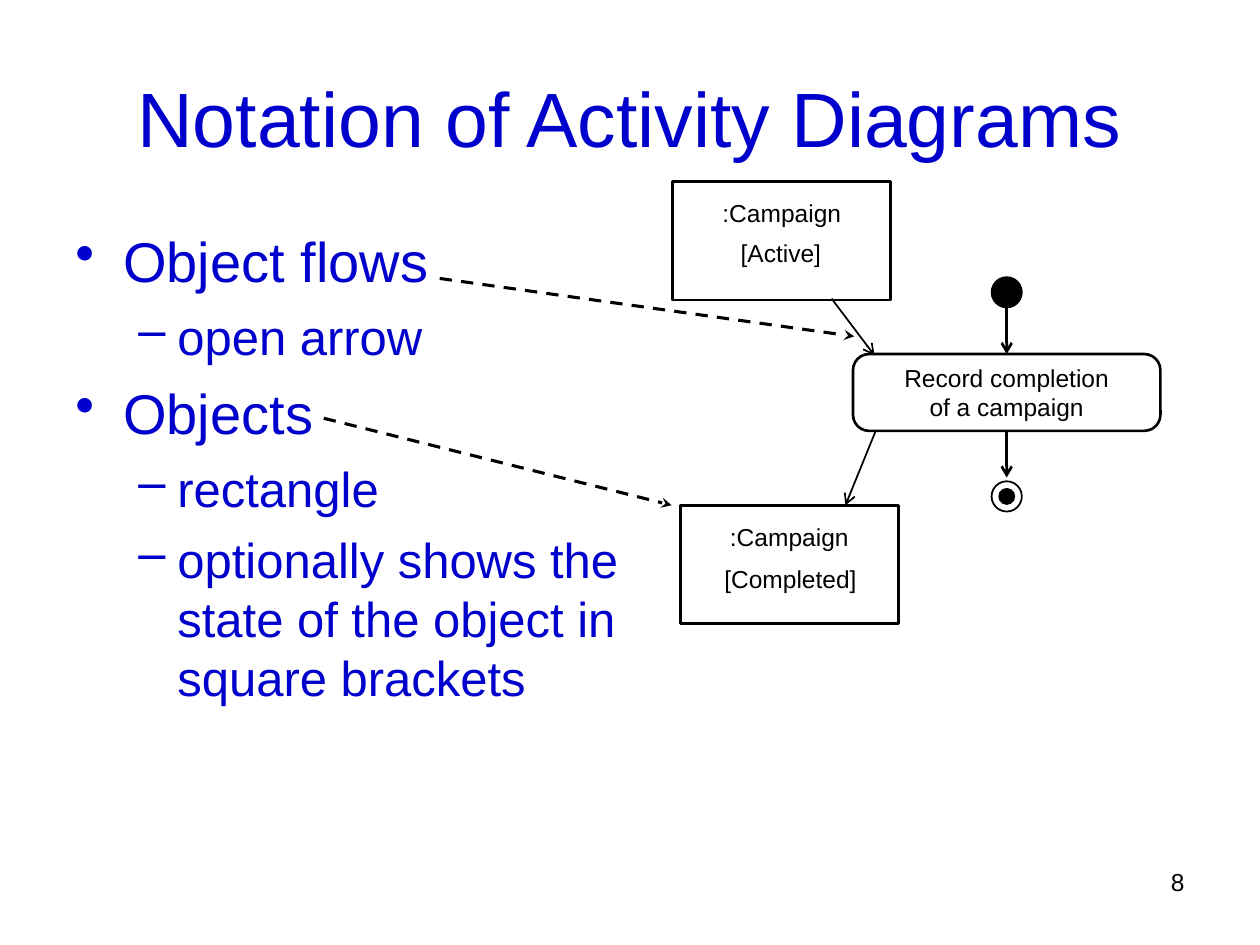
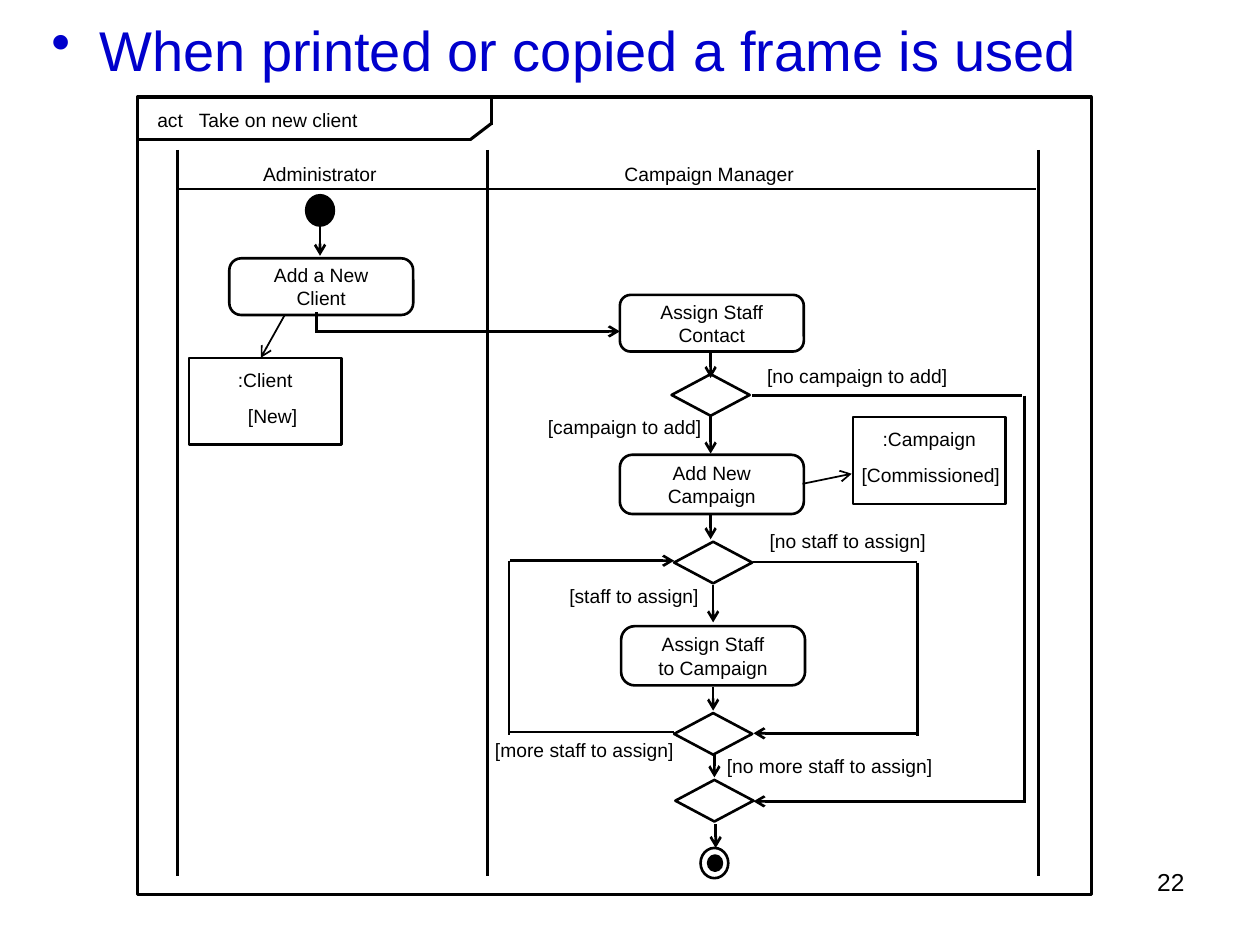
from lxml import etree
from pptx import Presentation
from pptx.dml.color import RGBColor
from pptx.enum.dml import MSO_LINE
from pptx.enum.shapes import MSO_CONNECTOR, MSO_SHAPE
from pptx.enum.text import MSO_ANCHOR, MSO_AUTO_SIZE, PP_ALIGN
from pptx.oxml.ns import qn
from pptx.util import Inches, Pt

STRAIGHT = MSO_CONNECTOR.STRAIGHT
RECTANGLE = MSO_SHAPE.RECTANGLE
ROUNDED = MSO_SHAPE.ROUNDED_RECTANGLE
OVAL = MSO_SHAPE.OVAL
DIAMOND = MSO_SHAPE.DIAMOND
DASH = MSO_LINE.DASH
TOP, MIDDLE = MSO_ANCHOR.TOP, MSO_ANCHOR.MIDDLE
LEFT, CENTER, RIGHT = PP_ALIGN.LEFT, PP_ALIGN.CENTER, PP_ALIGN.RIGHT
NO_AUTOFIT = MSO_AUTO_SIZE.NONE

COLORS = {"text": "0000CC", "ink": "000000", "paper": "FFFFFF"}
FONT = "Arial"
TITLE = {"size": 44, "color": "text", "alignment": CENTER, "anchor": MIDDLE}
PAGE_NUMBER = {"size": 14, "alignment": RIGHT}
PAGE_NUMBER_BOX = (7.17, 6.83, 2.33, 0.52)
BULLETS = [
    {"size": 32, "sign": "•", "margin": 0.38, "hanging": 0.38, "before": 8},
    {"size": 28, "sign": "–", "margin": 0.81, "hanging": 0.31, "before": 7},
]


def color_of(name):
    return RGBColor.from_string(COLORS[name])


def write_text(shape, text, size, color="ink", alignment=LEFT, anchor=TOP, wrap=True):
    frame = shape.text_frame
    frame.text = text
    frame_format = {"auto_size": NO_AUTOFIT, "word_wrap": wrap, "vertical_anchor": anchor}
    for name, value in frame_format.items():
        setattr(frame, name, value)
    for paragraph in frame.paragraphs:
        paragraph.alignment = alignment
        for name, value in {"name": FONT, "size": Pt(size)}.items():
            setattr(paragraph.font, name, value)
        paragraph.font.color.rgb = color_of(color)


notation = {
    "number": "8",
    "title": "Notation of Activity Diagrams",
    "text_size": 14,
    "object_inset": 0.13,
    "body_box": (0.5, 1.75, 4.98, 4.95),
    "bullets": [
        (0, "Object flows"),
        (1, "open arrow"),
        (0, "Objects"),
        (1, "rectangle"),
        (1, "optionally shows the state of the object in square brackets"),
    ],
    "activities": [(6.77, 2.81, 2.44, 0.61, 0.21, "Record completion\nof a campaign")],
    "objects": [
        (5.34, 1.44, 1.73, 0.94, ":Campaign"),
        (5.4, 4.01, 1.73, 0.94, ":Campaign"),
    ],
    "decisions": [],
    "circles": [
        (7.87, 2.2, 0.24, 0.24, "ink", 1),
        (7.87, 3.82, 0.24, 0.24, "paper", 1),
        (7.93, 3.88, 0.12, 0.12, "ink", 1),
    ],
    "frames": [],
    "labels": [
        (5.78, 1.84, 1, LEFT, "[Active]"),
        (5.65, 4.43, 1.35, LEFT, "[Completed]"),
    ],
    "lines": [],
    "arrows": [
        (7.99, 2.44, 7.99, 2.81, 1.5),
        (7.99, 3.42, 7.99, 3.79, 1.5),
        (6.6, 2.37, 6.94, 2.82, 1),
        (6.95, 3.42, 6.71, 4.01, 1),
    ],
    "pointers": [(3.49, 2.21, 6.78, 2.67, 1.75), (2.57, 3.32, 5.33, 4.01, 1.75)],
}

framed_diagram = {
    "number": "22",
    "title": None,
    "text_size": 11,
    "object_inset": 0.08,
    "body_box": (0.31, 0.07, 9, 4.95),
    "bullets": [(0, "When printed or copied a frame is used")],
    "activities": [
        (1.82, 2.05, 1.46, 0.45, 0.21, "Add a New\nClient"),
        (4.92, 2.34, 1.46, 0.45, 0.19, "Assign Staff\nContact"),
        (4.92, 3.61, 1.46, 0.47, 0.21, "Add New\nCampaign"),
        (4.93, 4.97, 1.46, 0.47, 0.23, "Assign Staff\nto Campaign"),
    ],
    "objects": [
        (1.5, 2.84, 1.21, 0.69, ":Client"),
        (6.77, 3.31, 1.21, 0.69, ":Campaign"),
    ],
    "decisions": [(5.33, 2.97), (5.35, 4.3), (5.35, 5.66), (5.36, 6.19)],
    "circles": [
        (2.43, 1.55, 0.22, 0.24, "ink", 1.5),
        (5.56, 6.73, 0.22, 0.24, "paper", 1.5),
        (5.62, 6.79, 0.11, 0.12, "ink", 1.5),
    ],
    "frames": [(1.09, 0.77, 7.57, 6.33)],
    "labels": [
        (1.15, 0.81, 0.5, LEFT, "act"),
        (1.48, 0.81, 1.6, LEFT, "Take on new client"),
        (1.89, 1.24, 1.3, CENTER, "Administrator"),
        (4.76, 1.24, 1.74, CENTER, "Campaign Manager"),
        (5.99, 2.84, 2.04, LEFT, "[no campaign to add]"),
        (4.25, 3.25, 1.79, LEFT, "[campaign to add]"),
        (6.01, 4.15, 2.03, LEFT, "[no staff to assign]"),
        (4.42, 4.59, 1.77, LEFT, "[staff to assign]"),
        (3.83, 5.81, 2.35, LEFT, "[more staff to assign]"),
        (5.67, 5.94, 2.25, LEFT, "[no more staff to assign]"),
        (1.87, 3.16, 0.8, LEFT, "[New]"),
        (6.74, 3.63, 1.4, LEFT, "[Commissioned]"),
    ],
    "lines": [
        *[(lane, 1.19, lane, 6.95, 1.5) for lane in (1.41, 3.87, 8.24)],
        (1.42, 1.5, 8.22, 1.5, 1),
        (1.09, 1.11, 3.74, 1.11, 1.75),
        (3.73, 1.11, 3.9, 0.98, 1.75),
        (3.9, 0.76, 3.9, 0.99, 1.75),
        (2.51, 2.48, 2.51, 2.64, 1.5),
        (5.97, 3.14, 8.11, 3.14, 1.5),
        (8.13, 3.14, 8.13, 6.36, 1.5),
        (5.98, 4.46, 7.28, 4.46, 1.5),
        (7.28, 4.47, 7.28, 5.84, 1.5),
        (4.05, 5.81, 5.35, 5.81, 1.5),
        (4.04, 4.45, 4.04, 5.83, 1.5),
    ],
    "arrows": [
        (2.54, 1.78, 2.54, 2.03, 1.5),
        (2.51, 2.63, 4.92, 2.63, 1.5),
        (5.64, 2.79, 5.64, 3, 1.5),
        (5.64, 3.3, 5.64, 3.6, 1.5),
        (5.64, 4.09, 5.64, 4.28, 1.5),
        (5.66, 4.64, 5.66, 4.94, 1.5),
        (5.66, 5.45, 5.66, 5.64, 1.5),
        (5.67, 5.98, 5.67, 6.17, 1.5),
        (5.68, 6.54, 5.68, 6.73, 1.5),
        (4.05, 4.45, 5.35, 4.45, 1.5),
        (7.27, 5.82, 5.98, 5.82, 1.5),
        (8.14, 6.36, 5.98, 6.36, 1.5),
        (2.26, 2.5, 2.07, 2.84, 1),
        (6.37, 3.84, 6.76, 3.76, 1),
    ],
    "pointers": [],
}

presentation = Presentation()
presentation.slide_width = Inches(10)
presentation.slide_height = Inches(7.5)
title_only, blank = presentation.slide_layouts[5], presentation.slide_layouts[6]

for content in (notation, framed_diagram):
    slide = presentation.slides.add_slide(title_only if content["title"] else blank)
    if content["title"]:
        title = slide.shapes.title
        title_box = {"left": 0.5, "top": 0.3, "width": 9, "height": 1.25}
        for name, value in title_box.items():
            setattr(title, name, Inches(value))
        write_text(title, content["title"], **TITLE)

    text_size = content["text_size"]
    outlines = [(RECTANGLE, box, None, 1.75, None, "") for box in content["frames"]]
    outlines += [
        (ROUNDED, box, "paper", 1.5, rounding, text)
        for *box, rounding, text in content["activities"]
    ]
    outlines += [
        (RECTANGLE, box, "paper", 1.5, None, text) for *box, text in content["objects"]
    ]
    outlines += [
        (DIAMOND, (*corner, 0.62, 0.33), "paper", 1.5, None, "")
        for corner in content["decisions"]
    ]
    outlines += [
        (OVAL, box, fill, width, None, "") for *box, fill, width in content["circles"]
    ]
    for kind, box, fill, width, rounding, text in outlines:
        shape = slide.shapes.add_shape(kind, *map(Inches, box))
        shape.shadow.inherit = False
        shape.line.color.rgb = color_of("ink")
        shape.line.width = Pt(width)
        if fill:
            shape.fill.solid()
            shape.fill.fore_color.rgb = color_of(fill)
        else:
            shape.fill.background()
        if rounding:
            shape.adjustments[0] = rounding
        if text:
            anchor = MIDDLE if kind == ROUNDED else TOP
            write_text(shape, text, text_size, "ink", CENTER, anchor, wrap=False)
            if kind == RECTANGLE:
                shape.text_frame.margin_top = Inches(content["object_inset"])

    for group, arrowhead in (("lines", None), ("arrows", "arrow"), ("pointers", "stealth")):
        for *ends, width in content[group]:
            connector = slide.shapes.add_connector(STRAIGHT, *map(Inches, ends))
            connector.line.color.rgb = color_of("ink")
            connector.line.width = Pt(width)
            if group == "pointers":
                connector.line.dash_style = DASH
            if arrowhead:
                line_xml = connector.line._get_or_add_ln()
                etree.SubElement(line_xml, qn("a:tailEnd"), type=arrowhead)
            etree.SubElement(connector._element.spPr, qn("a:effectLst"))

    for left, top, width, alignment, text in content["labels"]:
        height = 0.34 if text_size == 14 else 0.29
        label = slide.shapes.add_textbox(*map(Inches, (left, top, width, height)))
        write_text(label, text, text_size, alignment=alignment)

    body = slide.shapes.add_textbox(*map(Inches, content["body_box"]))
    write_text(body, "\n".join(text for _, text in content["bullets"]), 32, "text")
    for paragraph, (level, _) in zip(body.text_frame.paragraphs, content["bullets"]):
        bullet = BULLETS[level]
        paragraph.level = level
        paragraph.font.size = Pt(bullet["size"])
        paragraph.space_before = Pt(bullet["before"])
        properties = paragraph._p.get_or_add_pPr()
        properties.set("marL", str(Inches(bullet["margin"])))
        properties.set("indent", str(-Inches(bullet["hanging"])))
        sign = etree.Element(qn("a:buChar"), char=bullet["sign"])
        properties.find(qn("a:defRPr")).addprevious(sign)

    page_number = slide.shapes.add_textbox(*map(Inches, PAGE_NUMBER_BOX))
    write_text(page_number, content["number"], **PAGE_NUMBER)

presentation.save("out.pptx")
